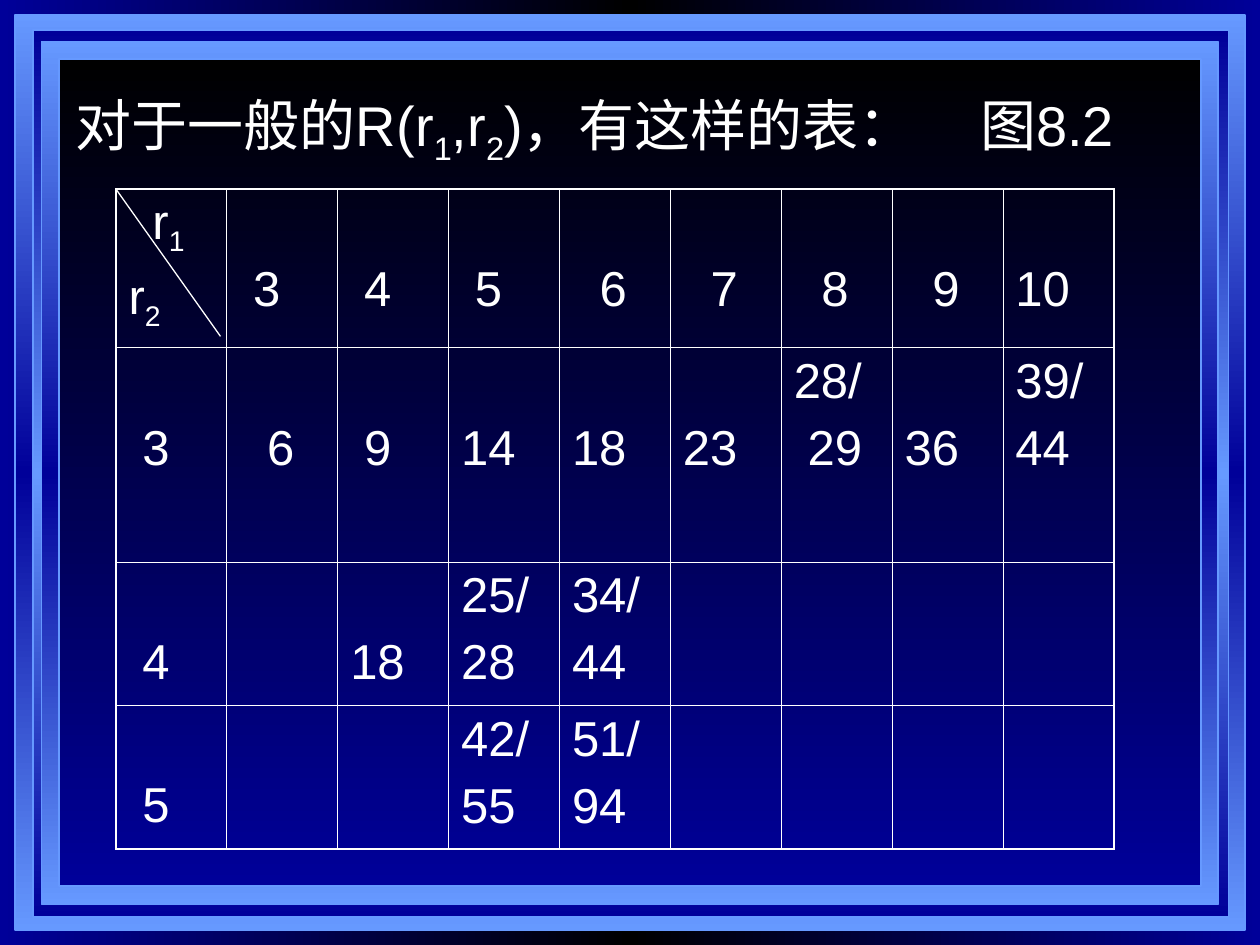
"""Build a slide with a table of values for R(r1, r2)."""
from lxml.etree import SubElement
from pptx import Presentation
from pptx.dml.color import RGBColor
from pptx.enum.shapes import MSO_CONNECTOR as Connector, MSO_SHAPE as Shape
from pptx.enum.text import MSO_ANCHOR as Anchor, MSO_AUTO_SIZE as AutoSize, PP_ALIGN as Align
from pptx.oxml.ns import qn
from pptx.util import Inches, Pt

WHITE = RGBColor(0xFF, 0xFF, 0xFF)
BLACK = RGBColor(0x00, 0x00, 0x00)
NAVY = RGBColor(0x00, 0x00, 0x99)
SKY = RGBColor(0x66, 0x99, 0xFF)


def paint_gradient(owner, fill, colors, degrees):
    fill.gradient()
    gradient = next(owner.element.iter(qn("a:gradFill")))
    stops = gradient.find(qn("a:gsLst"))
    stops.clear()
    for index, color in enumerate(colors):
        position = 100000 * index // (len(colors) - 1)
        stop = SubElement(stops, qn("a:gs"), pos=str(position))
        SubElement(stop, qn("a:srgbClr"), val=str(color))
    gradient.find(qn("a:lin")).set("ang", str(degrees * 60000))


def write_text(para, text, size):
    for index, part in enumerate(text.split("_")):
        if part:
            span = para.add_run()
            span.text = part
            span.font.name = "Arial"
            span.font.size = Pt(size)
            span.font.color.rgb = WHITE
            if index % 2:
                span.font._element.set("baseline", "-25000")


deck = Presentation()
deck.slide_width, deck.slide_height = Inches(10), Inches(7.5)
page = deck.slides.add_slide(deck.slide_layouts[5])
paint_gradient(page, page.background.fill, [NAVY, BLACK, NAVY], 0)

FRAMES = [
    (0.12, 0.12, 9.76, 7.26, [SKY, NAVY, SKY]),
    (0.26, 0.24, 9.49, 7.04, [NAVY, SKY, NAVY]),
    (0.33, 0.33, 9.34, 6.85, [SKY, NAVY, SKY]),
    (0.47, 0.47, 9.06, 6.56, [BLACK, NAVY]),
]
for left, top, width, height, colors in FRAMES:
    frame = page.shapes.add_shape(
        Shape.RECTANGLE, Inches(left), Inches(top), Inches(width), Inches(height))
    frame.shadow.inherit = False
    paint_gradient(frame, frame.fill, colors, 90)
    frame.line.color.rgb = SKY
    frame.line.width = Pt(1)

title = page.shapes.title
title.element.getparent().append(title.element)
title.left, title.top = Inches(0.5), Inches(0.67)
title.width, title.height = Inches(8.92), Inches(6.33)
title.text_frame.auto_size = AutoSize.NONE
title.text_frame.word_wrap = True
title.text_frame.vertical_anchor = Anchor.TOP
para = title.text_frame.paragraphs[0]
para.alignment = Align.LEFT
tabs = SubElement(para._p.get_or_add_pPr(), qn("a:tabLst"))
SubElement(tabs, qn("a:tab"), pos=str(Inches(7.18)), algn="l")
write_text(para, "对于一般的R(r_1_,r_2_)，有这样的表：\t图8.2", 32)

SPACE = 0.11
SECOND_LINE = 0.58
ROW_HEIGHTS = [1.26, 1.7, 1.14, 1.14]
COLUMN_COUNT = 9
ROWS = [
    ["r_1_\nr_2_", "3", "4", "5", "6", "7", "8", "9", "10"],
    ["3", "6", "9", "14", "18", "23", "28/\n29", "36", "39/\n44"],
    ["4", "", "18", "25/\n28", "34/\n44", "", "", "", ""],
    ["5", "", "", "42/\n55", "51/\n94", "", "", "", ""],
]
WIDER_INDENTS = {
    (0, 0, 0): 0.19, (1, 6, 1): SPACE, (1, 1, 0): 2 * SPACE,
    **{(0, column, 0): 2 * SPACE for column in range(4, 8)},
}

table_frame = page.shapes.add_table(
    len(ROWS), COLUMN_COUNT, Inches(0.92), Inches(1.5), Inches(7.92), Inches(5.24))
table = table_frame.table
table.first_row = table.horz_banding = False
for column in table.columns:
    column.width = Inches(0.88)
for row, height in zip(table.rows, ROW_HEIGHTS):
    row.height = Inches(height)

for row_index, row in enumerate(ROWS):
    for column_index, text in enumerate(row):
        cell = table.cell(row_index, column_index)
        properties = cell._tc.get_or_add_tcPr()
        outer_edges = {
            "a:lnL": column_index == 0,
            "a:lnR": column_index == COLUMN_COUNT - 1,
            "a:lnT": row_index == 0,
            "a:lnB": row_index == len(ROWS) - 1,
        }
        for tag, is_outer in outer_edges.items():
            border = SubElement(properties, qn(tag), w=str(Pt(1.08 if is_outer else 0.45)))
            color = SubElement(SubElement(border, qn("a:solidFill")), qn("a:srgbClr"))
            color.set("val", str(WHITE))
        cell.fill.background()
        if not text:
            continue
        lines = text.split("\n")
        cell.margin_top = Inches(0.05 if len(lines) > 1 else SECOND_LINE)
        for line_index, line in enumerate(lines):
            if line_index:
                para = cell.text_frame.add_paragraph()
                para.space_before = Pt(7)
            else:
                para = cell.text_frame.paragraphs[0]
            default_indent = SPACE if len(line) == 1 else 0
            indent = WIDER_INDENTS.get((row_index, column_index, line_index), default_indent)
            para._p.get_or_add_pPr().set("marL", str(Inches(indent)))
            write_text(para, line, 28)

diagonal = page.shapes.add_connector(
    Connector.STRAIGHT, Inches(0.92), Inches(1.5), Inches(1.75), Inches(2.67))
diagonal.line.color.rgb = WHITE
diagonal.line.width = Pt(0.75)
SubElement(diagonal.element.spPr, qn("a:effectLst"))

deck.save("out.pptx")
